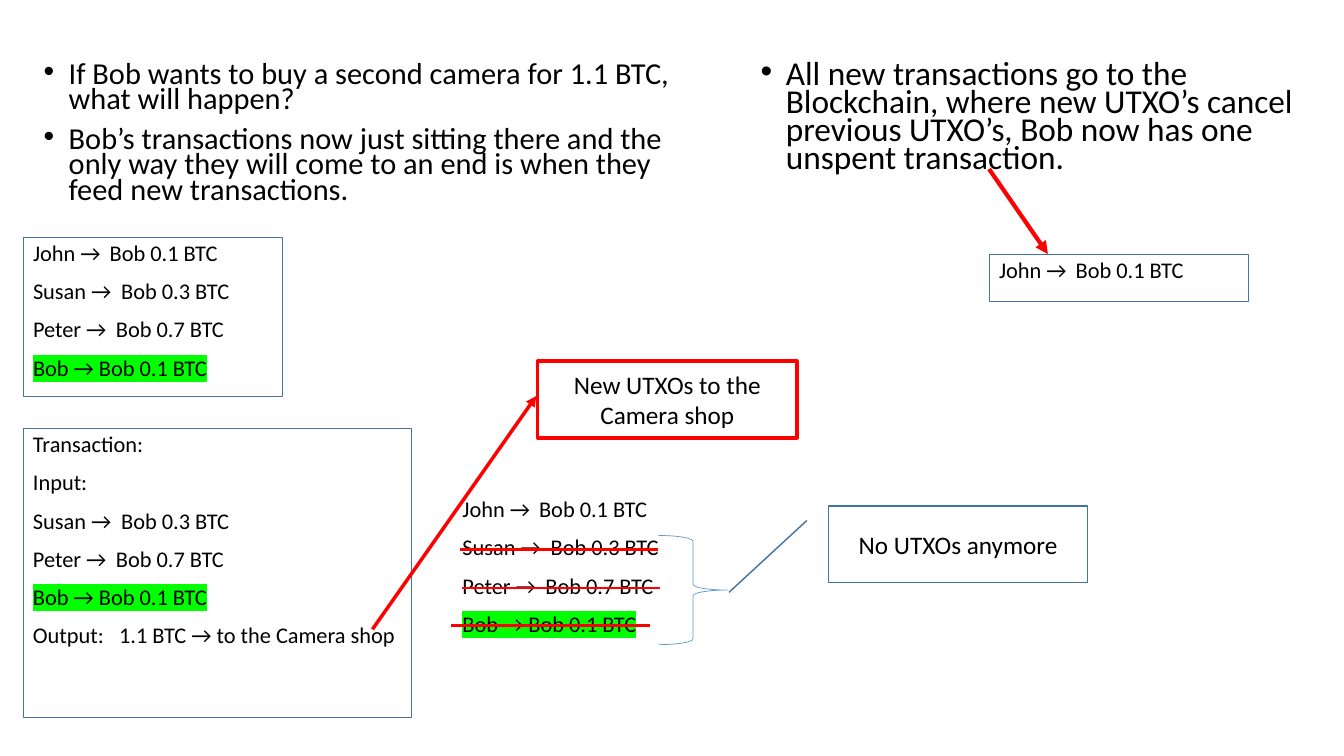
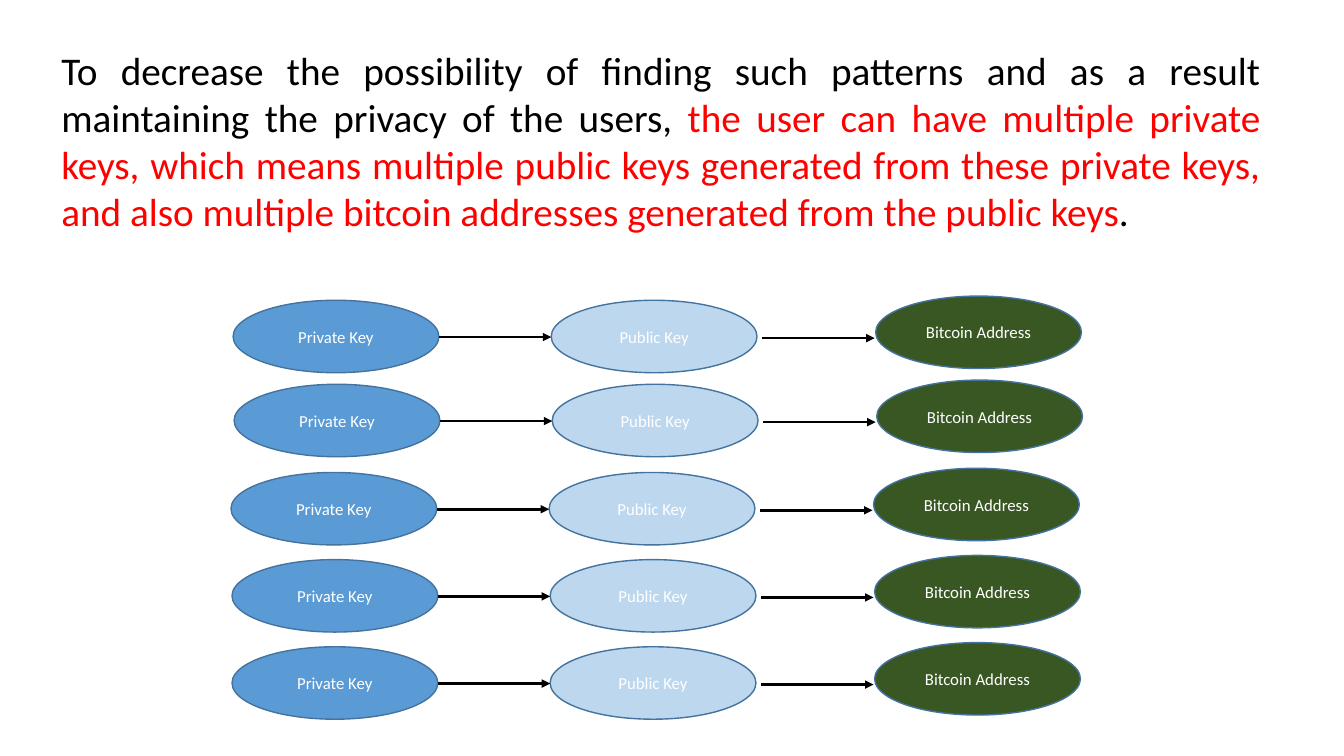
from lxml import etree
from pptx import Presentation
from pptx import util as u
from pptx.dml.color import RGBColor
from pptx.enum import shapes, text
from pptx.oxml.ns import qn

PX = 9525
FONT = "Calibri"
BLACK = RGBColor(0x00, 0x00, 0x00)
WHITE = RGBColor(0xFF, 0xFF, 0xFF)
RED = RGBColor(0xFF, 0x00, 0x00)
GREEN = RGBColor(0x00, 0xFF, 0x00)
OUTLINE = RGBColor(0x43, 0x73, 0x9E)
BLUE = RGBColor(0x5B, 0x9B, 0xD5)
PALE_BLUE = RGBColor(0xBD, 0xD7, 0xEE)
DARK_GREEN = RGBColor(0x38, 0x57, 0x23)

SHAPE = shapes.MSO_SHAPE
ALIGN = text.PP_ALIGN
ANCHOR = text.MSO_ANCHOR

JOHN = ("John →\tBob 0.1 BTC", {"tab": 73})
SUSAN = ("Susan →\tBob 0.3 BTC", {"tab": 84})
PETER = ("Peter →\tBob 0.7 BTC", {"tab": 79})
BOB = ("Bob → Bob 0.1 BTC", {"highlight": GREEN})
OUTPUT = ("Output:\t1.1 BTC → to the Camera shop", {"tab": 82})
TRANSFERS = [JOHN, SUSAN, PETER, BOB]


def emu(*lengths):
    return [u.Emu(n * PX) for n in lengths]


def add_child(parent, tag, **attrs):
    el = etree.SubElement(parent, qn(tag))
    for name, value in attrs.items():
        el.set(name, str(value))
    return el


def write(tf, content, *, size, color=BLACK, highlight=None, align=None,
          spacing=None, before=0, bullet=False, tab=0, same=False):
    p = tf.paragraphs[-1]
    if p.runs and not same:
        p = tf.add_paragraph()
        p.space_before = u.Pt(before)
    if not same:
        pPr = p._p.get_or_add_pPr()
        if bullet:
            pPr.set("marL", str(24 * PX))
            pPr.set("indent", str(-24 * PX))
            add_child(pPr, "a:buFont", typeface="Arial")
            add_child(pPr, "a:buChar", char="•")
        if tab:
            tabs = add_child(pPr, "a:tabLst")
            add_child(tabs, "a:tab", pos=tab * PX, algn="l")
        p.alignment = align
        p.line_spacing = spacing
    r = p.add_run()
    r.text = content
    r.font.size = u.Pt(size)
    r.font.name = FONT
    r.font.color.rgb = color
    if highlight is not None:
        mark = etree.Element(qn("a:highlight"))
        add_child(mark, "a:srgbClr", val=highlight)
        r._r.rPr.find(qn("a:solidFill")).addnext(mark)


def add_textbox(slide, *box):
    tf = slide.shapes.add_textbox(*emu(*box)).text_frame
    tf.word_wrap = True
    return tf


def add_preset(parent, kind, box, fill=None, line=OUTLINE, width=1.0):
    sp = parent.shapes.add_shape(kind, *emu(*box))
    sp.shadow.inherit = False
    if fill is None:
        sp.fill.background()
    else:
        sp.fill.solid()
        sp.fill.fore_color.rgb = fill
    sp.line.color.rgb = line
    sp.line.width = u.Pt(width)
    return sp


def add_label(sp, content, size, color=BLACK):
    tf = sp.text_frame
    tf.word_wrap = True
    tf.vertical_anchor = ANCHOR.MIDDLE
    write(tf, content, size=size, color=color, align=ALIGN.CENTER)


def add_line(parent, ends, color, width, arrow=False):
    cxn = parent.shapes.add_connector(shapes.MSO_CONNECTOR.STRAIGHT, *emu(*ends))
    cxn.line.color.rgb = color
    cxn.line.width = u.Pt(width)
    if arrow:
        add_child(cxn.line._get_or_add_ln(), "a:tailEnd", type="triangle")
    add_child(cxn._element.spPr, "a:effectLst")


def add_bullets(slide, box, items, size):
    tf = add_textbox(slide, *box)
    for item in items:
        write(tf, item, size=size, spacing=0.7, before=10, bullet=True)


def write_ledger(tf, rows):
    tf.word_wrap = True
    tf.vertical_anchor = ANCHOR.TOP
    for content, style in rows:
        write(tf, content, size=16, align=ALIGN.LEFT, spacing=0.9, before=10, **style)


def add_ledger_box(slide, box, rows):
    sp = add_preset(slide, SHAPE.RECTANGLE, box, width=0.75)
    write_ledger(sp.text_frame, rows)


def add_callout(slide, box, content, **style):
    sp = add_preset(slide, SHAPE.LINE_CALLOUT_1, box, **style)
    add_label(sp, content, 18)
    return sp


def build_utxo_slide(slide):
    add_bullets(slide, (32, 56, 648, 152), [
        "If Bob wants to buy a second camera for 1.1 BTC, what will happen?",
        "Bob’s transactions now just sitting there and the only way they will "
        "come to an end is when they feed new transactions.",
    ], 21.7)
    add_ledger_box(slide, (22, 408, 370, 275),
                   [("Transaction:", {}), ("Input:", {}), SUSAN, PETER, BOB, OUTPUT])
    add_ledger_box(slide, (22, 226, 247, 152), TRANSFERS)
    write_ledger(add_textbox(slide, 431, 470, 247, 152), TRANSFERS)
    for x, y in [(438, 523), (440, 560), (430, 596)]:
        add_line(slide, (x, y, x + 189, y), RED, 2)

    add_callout(slide, (789, 482, 247, 73), "No UTXOs anymore")
    add_preset(slide, SHAPE.RIGHT_BRACE, (627, 510, 66, 104), line=BLUE, width=0.5)
    shop = add_callout(slide, (512, 344, 247, 73), "New UTXOs to the Camera shop",
                       line=RED, width=2.5)
    for i, value in enumerate([0.454, -0.005, 3.499, -0.637]):
        shop.adjustments[i] = value
    add_child(shop.line._get_or_add_ln(), "a:headEnd", type="triangle")

    add_bullets(slide, (715, 55, 559, 119), [
        "All new transactions go to the Blockchain, where new UTXO’s cancel "
        "previous UTXO’s, Bob now has one unspent transaction.",
    ], 23.8)
    add_ledger_box(slide, (942, 242, 247, 45), [JOHN])
    add_line(slide, (942, 161, 998, 242), RED, 3, arrow=True)


def add_key_chain(slide, x, y):
    group = slide.shapes.add_group_shape()
    for content, fill, dx, dy in [
        ("Private Key", BLUE, 0, 0),
        ("Public Key", PALE_BLUE, 303, 0),
        ("Bitcoin Address", DARK_GREEN, 612, -4),
    ]:
        sp = add_preset(group, SHAPE.OVAL, (x + dx, y + dy, 196, 69), fill)
        add_label(sp, content, 12, WHITE)
    for dx, dy in [(196, 35), (504, 36)]:
        add_line(group, (x + dx, y + dy, x + dx + 107, y + dy), BLACK, 2, arrow=True)


def build_keys_slide(slide):
    for x, y in [(222, 286), (223, 366), (220, 450), (221, 533), (221, 616)]:
        add_key_chain(slide, x, y)
    tf = add_textbox(slide, 49, 39, 1161, 191)
    write(tf, "To decrease the possibility of finding such patterns and as a result "
          "maintaining the privacy of the users, ", size=28, align=ALIGN.JUSTIFY)
    write(tf, "the user can have multiple private keys, which means multiple public "
          "keys generated from these private keys, and also multiple bitcoin addresses "
          "generated from the public keys", size=28, color=RED, same=True)
    write(tf, ".", size=28, same=True)


def main():
    prs = Presentation()
    prs.slide_width, prs.slide_height = emu(1280, 720)
    for build in (build_utxo_slide, build_keys_slide):
        build(prs.slides.add_slide(prs.slide_layouts[6]))
    prs.save("out.pptx")


if __name__ == "__main__":
    main()
